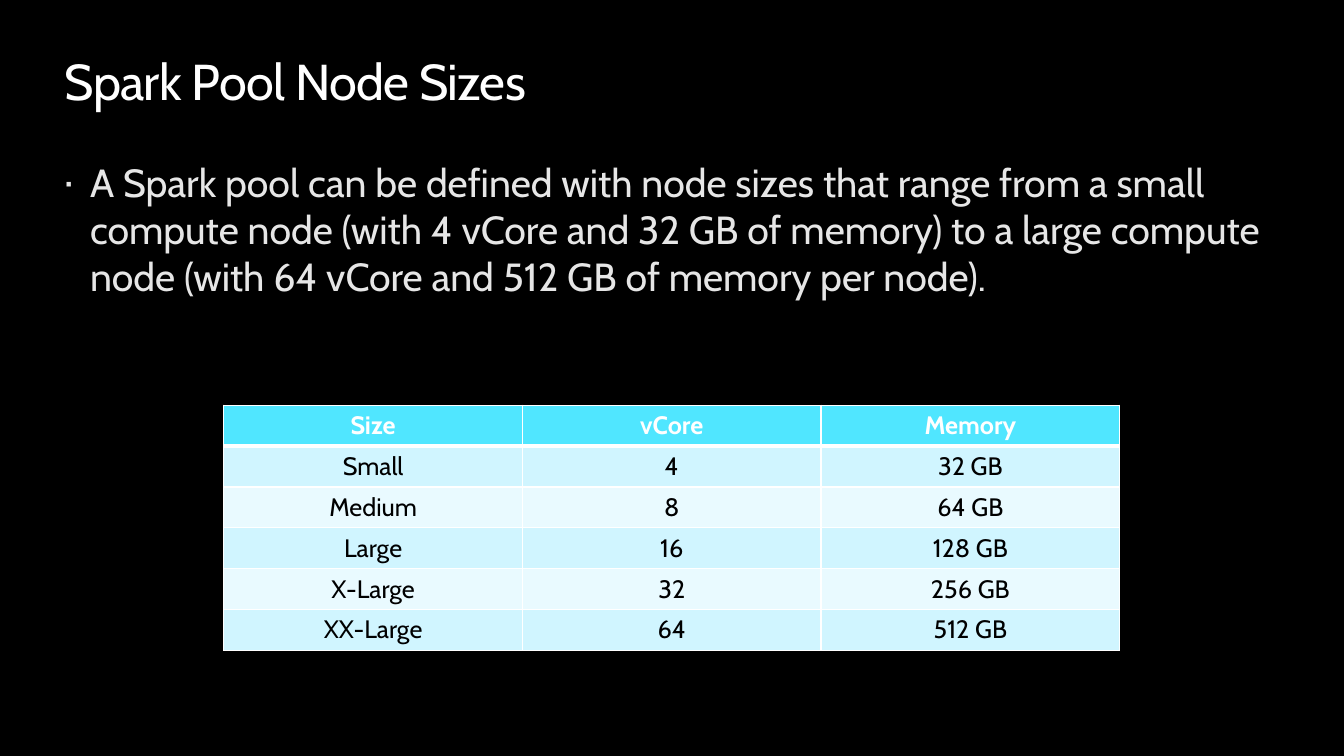
from dataclasses import dataclass

from lxml import etree
from pptx import Presentation
from pptx.dml.color import RGBColor as Rgb
from pptx.enum import text as t
from pptx.oxml import ns
from pptx.util import Cm, Pt


@dataclass(frozen=True)
class Theme:
    font: str = "Cabin"
    back: str = "000000"
    white: str = "FFFFFF"
    soft: str = "E6E6E6"
    dark: str = "000000"
    head: str = "50E6FF"
    bands: tuple = ("D0F5FF", "E9FAFF")
    title: int = 36
    body: int = 28
    cell: int = 18


LOOK = Theme()
ROWS = [
    ("Size", "vCore", "Memory"),
    ("Small", "4", "32 GB"),
    ("Medium", "8", "64 GB"),
    ("Large", "16", "128 GB"),
    ("X-Large", "32", "256 GB"),
    ("XX-Large", "64", "512 GB"),
]


def add(node, tag, **attrs):
    return etree.SubElement(node, ns.qn(tag), attrs)


def add_run(para, words, size, color, bold=False):
    run = para.add_run()
    run.text = words
    font = run.font
    font.name, font.size, font.bold = LOOK.font, Pt(size), bold
    font.color.rgb = Rgb.from_string(color)
    return run


def place(shape, box):
    """Move a placeholder to box and return its first paragraph."""
    shape.left, shape.top, shape.width, shape.height = map(Cm, box)
    frame = shape.text_frame
    frame.margin_left = frame.margin_right = 0
    frame.margin_top = frame.margin_bottom = 0
    frame.word_wrap = True
    frame.auto_size = t.MSO_AUTO_SIZE.NONE
    frame.vertical_anchor = t.MSO_ANCHOR.TOP
    return frame.paragraphs[0]


def fill_title(shape, box, words):
    para = place(shape, box)
    para.alignment = t.PP_ALIGN.LEFT
    run = add_run(para, words, LOOK.title, LOOK.white)
    run._r.get_or_add_rPr().set("spc", "-50")


def fill_body(shape, box, words):
    para = place(shape, box)
    props = para._p.get_or_add_pPr()
    indent = Cm(0.64)
    props.set("marL", str(indent))
    props.set("indent", str(-indent))
    add(props, "a:buSzPct", val="90000")
    add(props, "a:buFont", typeface=LOOK.font)
    add(props, "a:buChar", char="·")
    para.space_before = Pt(0)
    add_run(para, words, LOOK.body, LOOK.soft)


def add_edges(cell, row):
    """Draw white cell borders, thicker below the header row."""
    widths = {"L": 1, "R": 1, "T": 3 if row == 1 else 1, "B": 3 if row == 0 else 1}
    props = cell._tc.get_or_add_tcPr()
    for side, width in widths.items():
        line = add(props, f"a:ln{side}", w=str(Pt(width)))
        add(add(line, "a:solidFill"), "a:srgbClr", val=LOOK.white)


def add_sizes(slide, box, rows):
    grid = slide.shapes.add_table(len(rows), len(rows[0]), *map(Cm, box)).table
    grid.horz_banding = False
    for i, row in enumerate(rows):
        head = i == 0
        back = LOOK.head if head else LOOK.bands[(i - 1) % 2]
        for j, words in enumerate(row):
            cell = grid.cell(i, j)
            add_edges(cell, i)
            cell.fill.solid()
            cell.fill.fore_color.rgb = Rgb.from_string(back)
            para = cell.text_frame.paragraphs[0]
            para.alignment = t.PP_ALIGN.CENTER
            add_run(para, words, LOOK.cell, LOOK.white if head else LOOK.dark, head)


def main():
    deck = Presentation()
    deck.slide_width, deck.slide_height = Cm(33.87), Cm(19.05)
    slide = deck.slides.add_slide(deck.slide_layouts[1])
    back = slide.background.fill
    back.solid()
    back.fore_color.rgb = Rgb.from_string(LOOK.back)

    left, width = 1.63, 30.61
    fill_title(slide.shapes.title, (left, 1.27, width, 1.55), "Spark Pool Node Sizes")
    add_sizes(slide, (5.64, 10.21, 22.58, 6.18), ROWS)
    fill_body(
        slide.placeholders[1],
        (left, 3.99, width, 3.58),
        "A Spark pool can be defined with node sizes that range from a small "
        "compute node (with 4 vCore and 32 GB of memory) to a large compute "
        "node (with 64 vCore and 512 GB of memory per node).",
    )
    deck.save("out.pptx")


if __name__ == "__main__":
    main()
